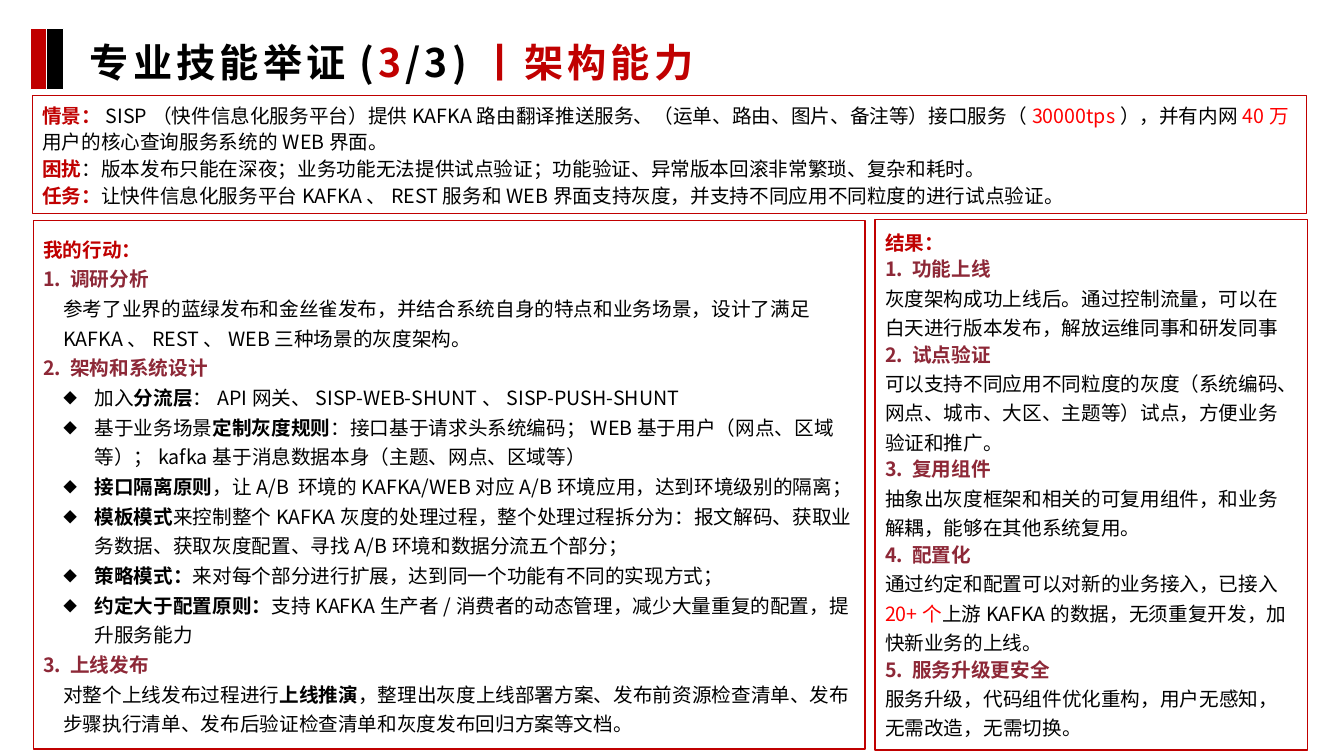
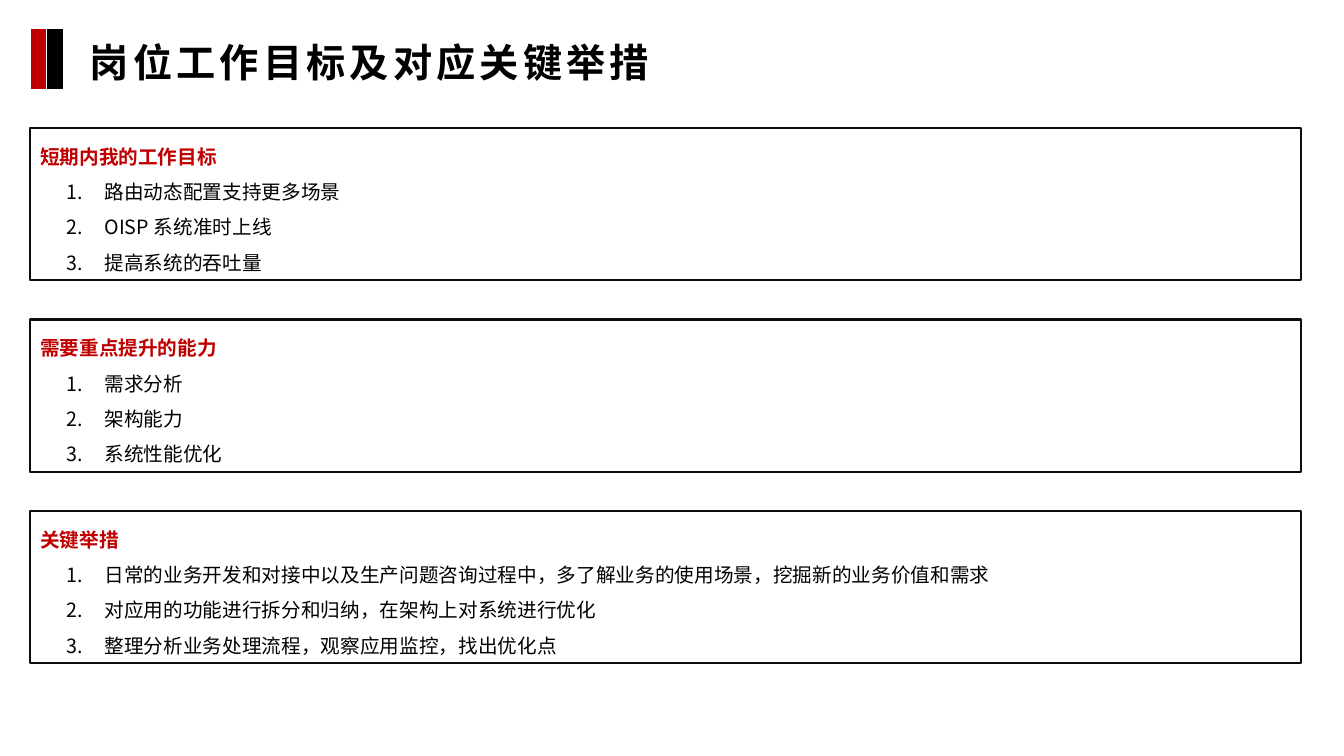
"""Build two slides on architecture skills and work goals."""
from dataclasses import dataclass

from lxml import etree
from pptx import Presentation, util as u
from pptx.dml.color import RGBColor
from pptx.enum import shapes, text
from pptx.oxml.ns import qn


@dataclass(frozen=True)
class Theme:
    """Hold the shared colours, font and type sizes."""
    red: str = "C00000"
    wine: str = "8D2837"
    hot: str = "FF0000"
    black: str = "000000"
    ink: str = "0D0D0D"
    white: str = "FFFFFF"
    font: str = "Noto Sans CJK SC"
    big: int = 28
    body: int = 14
    track: int = 300


T = Theme()
WIDE, HIGH = 13.33, 7.5
LEFT, FULL = 0.3, 12.6
BAR = (0.28, 0.17, 0.61)

STYLES = {
    "head": (T.red, True),
    "sub": (T.wine, True),
    "text": (T.black, False),
    "bold": (T.black, True),
    "hot": (T.hot, False),
}

KINDS = {
    "brief": (19, 0, 0, None),
    "top": (25.2, 0, 0, None),
    "step": (21.2, 0, 0, None),
    "para": (21.2, 0.2, 0, None),
    "point": (21.2, 0.51, -0.31, "◆"),
    "note": (21, 0, 0, None),
    "item": (25.2, 0.64, -0.38, "1."),
}

SKILL = [("bold", "专业技能举证("), ("head", "3"), ("bold", "/3)"), ("head", "丨架构能力")]

BRIEF = [
    ("brief", [
        ("head", "情景："),
        ("text", "SISP（快件信息化服务平台）提供KAFKA路由翻译推送服务、"
                 "（运单、路由、图片、备注等）接口服务（"),
        ("hot", "30000tps"), ("text", "），并有内网"), ("hot", "40万"),
        ("text", "用户的核心查询服务系统的WEB界面。")]),
    ("brief", [
        ("head", "困扰"),
        ("text", "：版本发布只能在深夜；业务功能无法提供试点验证；"
                 "功能验证、异常版本回滚非常繁琐、复杂和耗时。")]),
    ("brief", [
        ("head", "任务："),
        ("text", "让快件信息化服务平台KAFKA、REST服务和WEB界面支持灰度，"
                 "并支持不同应用不同粒度的进行试点验证。")]),
]

ACTION = [
    ("top", [("head", "我的行动：")]),
    ("step", [("sub", "1. 调研分析")]),
    ("para", [("text", "参考了业界的蓝绿发布和金丝雀发布，并结合系统自身的特点和业务场景，"
                       "设计了满足KAFKA、REST、WEB三种场景的灰度架构。")]),
    ("step", [("sub", "2. 架构和系统设计")]),
    ("point", [("text", "加入"), ("bold", "分流层"),
               ("text", "：API网关、SISP-WEB-SHUNT、SISP-PUSH-SHUNT")]),
    ("point", [("text", "基于业务场景"), ("bold", "定制灰度规则"),
               ("text", "：接口基于请求头系统编码；WEB基于用户（网点、区域等）；"
                        "kafka基于消息数据本身（主题、网点、区域等）")]),
    ("point", [("bold", "接口隔离原则"),
               ("text", "，让A/B 环境的KAFKA/WEB对应A/B环境应用，达到环境级别的隔离；")]),
    ("point", [("bold", "模板模式"),
               ("text", "来控制整个KAFKA灰度的处理过程，整个处理过程拆分为：报文解码、"
                        "获取业务数据、获取灰度配置、寻找A/B环境和数据分流五个部分；")]),
    ("point", [("bold", "策略模式："),
               ("text", "来对每个部分进行扩展，达到同一个功能有不同的实现方式；")]),
    ("point", [("bold", "约定大于配置原则："),
               ("text", "支持KAFKA生产者/消费者的动态管理，减少大量重复的配置，提升服务能力")]),
    ("step", [("sub", "3. 上线发布")]),
    ("para", [("text", "对整个上线发布过程进行"), ("bold", "上线推演"),
              ("text", "，整理出灰度上线部署方案、发布前资源检查清单、发布步骤执行清单、"
                       "发布后验证检查清单和灰度发布回归方案等文档。")]),
]

GAINS = [
    ("功能上线", [("text", "灰度架构成功上线后。通过控制流量，可以在白天进行版本发布，"
                           "解放运维同事和研发同事")]),
    ("试点验证", [("text", "可以支持不同应用不同粒度的灰度（系统编码、网点、城市、大区、"
                           "主题等）试点，方便业务验证和推广。")]),
    ("复用组件", [("text", "抽象出灰度框架和相关的可复用组件，和业务解耦，能够在其他系统复用。")]),
    ("配置化", [("text", "通过约定和配置可以对新的业务接入，已接入"), ("hot", "20+个"),
                ("text", "上游KAFKA的数据，无须重复开发，加快新业务的上线。")]),
    ("服务升级更安全", [("text", "服务升级，代码组件优化重构，用户无感知，无需改造，无需切换。")]),
]

GOALS = [
    ("短期内我的工作目标",
     ["路由动态配置支持更多场景", "OISP系统准时上线", "提高系统的吞吐量"]),
    ("需要重点提升的能力", ["需求分析", "架构能力", "系统性能优化"]),
    ("关键举措",
     ["日常的业务开发和对接中以及生产问题咨询过程中，多了解业务的使用场景，挖掘新的业务价值和需求",
      "对应用的功能进行拆分和归纳，在架构上对系统进行优化",
      "整理分析业务处理流程，观察应用监控，找出优化点"]),
]


def rgb(code):
    """Turn a hex code into a colour."""
    return RGBColor.from_string(code)


def write(para, runs, size, track=None):
    """Add styled runs to a paragraph."""
    para.alignment = text.PP_ALIGN.LEFT
    for style, words in runs:
        run = para.add_run()
        run.text = words
        font = run.font
        tint, font.bold = STYLES[style]
        font.size, font.name = u.Pt(size), T.font
        font.color.rgb = rgb(tint)
        props = font._element
        etree.SubElement(props, qn("a:ea"), typeface=T.font)
        if track:
            props.set("spc", str(track))


def mark(para, kind):
    """Set line pitch, indent and bullet of a paragraph."""
    pitch, left, first, sign = KINDS[kind]
    para.line_spacing = u.Pt(pitch)
    props = para._p.get_or_add_pPr()
    props.set("marL", str(u.Inches(left)))
    props.set("indent", str(u.Inches(first)))
    if sign == "1.":
        etree.SubElement(props, qn("a:buFont"), typeface=T.font)
        etree.SubElement(props, qn("a:buAutoNum"), type="arabicPeriod")
    elif sign:
        etree.SubElement(props, qn("a:buSzPct"), val="70000")
        etree.SubElement(props, qn("a:buFont"), typeface=T.font)
        etree.SubElement(props, qn("a:buChar"), char=sign)
    else:
        etree.SubElement(props, qn("a:buNone"))


def rect(slide, area, edge, width, fill=None):
    """Draw a plain rectangle."""
    box = slide.shapes.add_shape(shapes.MSO_SHAPE.RECTANGLE, *map(u.Inches, area))
    box.shadow.inherit = False
    box.line.color.rgb = rgb(edge)
    box.line.width = u.Pt(width)
    if fill:
        box.fill.solid()
        box.fill.fore_color.rgb = rgb(fill)
    else:
        box.fill.background()
    return box


def panel(slide, area, paras, edge=T.red, width=1):
    """Draw an outlined box of paragraphs."""
    frame = rect(slide, area, edge, width).text_frame
    frame.word_wrap = True
    frame.vertical_anchor = text.MSO_ANCHOR.TOP
    for num, (kind, runs) in enumerate(paras):
        para = frame.add_paragraph() if num else frame.paragraphs[0]
        mark(para, kind)
        write(para, runs, T.body)


def start(deck, runs):
    """Add a slide with its two bars and title."""
    slide = deck.slides.add_slide(deck.slide_layouts[5])
    top, wide, high = BAR
    for num, fill in enumerate((T.red, T.black)):
        rect(slide, (LEFT + num * 0.16, top, wide, high), T.white, 0.75, fill)
    title = slide.shapes.title
    title.left, title.top, title.width, title.height = map(
        u.Inches, (0.79, 0.33, 12.13, 0.57))
    frame = title.text_frame
    frame.word_wrap = True
    frame.auto_size = text.MSO_AUTO_SIZE.NONE
    frame.vertical_anchor = text.MSO_ANCHOR.MIDDLE
    write(frame.paragraphs[0], runs, T.big, T.track)
    return slide


def main():
    """Build and save the deck."""
    deck = Presentation()
    deck.slide_width, deck.slide_height = u.Inches(WIDE), u.Inches(HIGH)

    slide = start(deck, SKILL)
    panel(slide, (0.32, 0.95, 12.64, 1.17), BRIEF)
    panel(slide, (0.33, 2.19, 8.25, 5.24), ACTION)
    notes = [("note", [("head", "结果：")])]
    for num, (name, runs) in enumerate(GAINS, 1):
        notes += [("brief", [("sub", f"{num}. {name}")]), ("note", runs)]
    panel(slide, (8.68, 2.18, 4.29, 5.26), notes)

    slide = start(deck, [("bold", "岗位工作目标及对应关键举措")])
    for row, (name, items) in enumerate(GOALS):
        paras = [("top", [("head", name)])]
        paras += [("item", [("text", item)]) for item in items]
        panel(slide, (LEFT, 1.27 + row * 1.9, FULL, 1.51), paras, T.ink, 1.5)

    deck.save("out.pptx")


if __name__ == "__main__":
    main()
